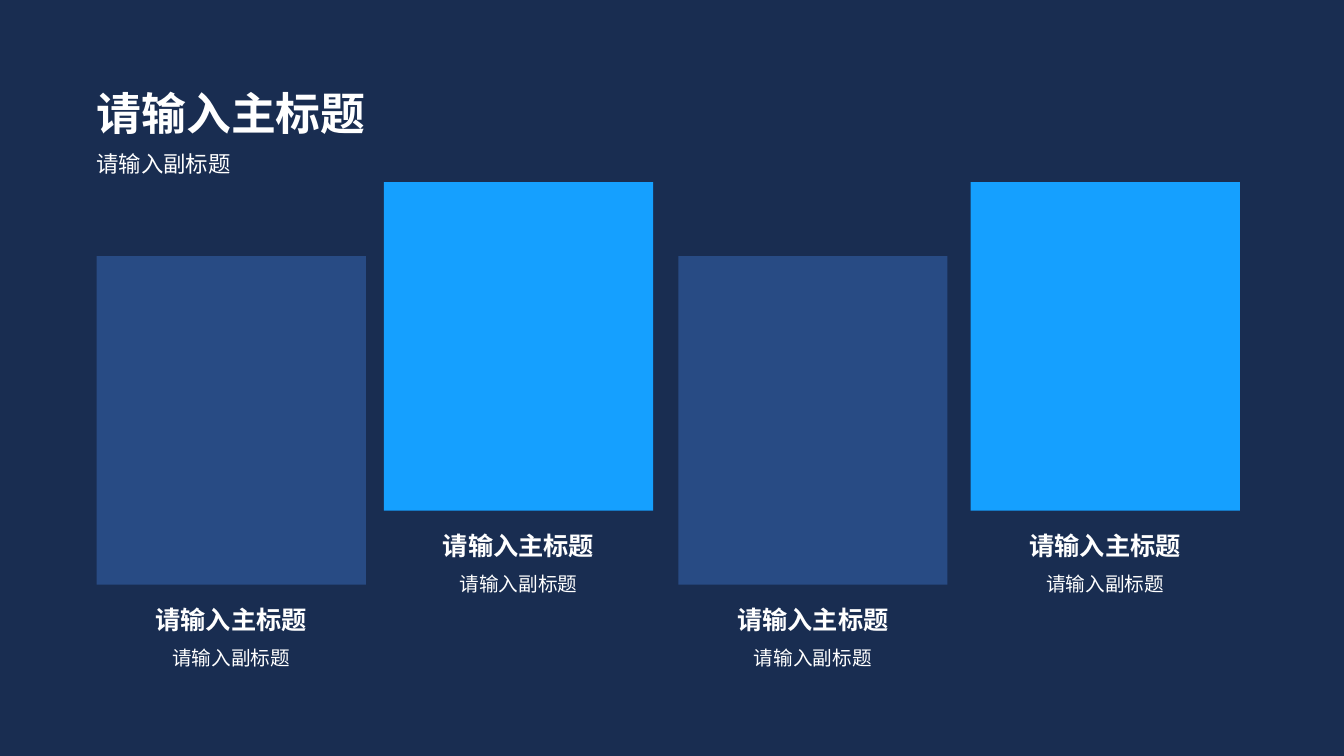
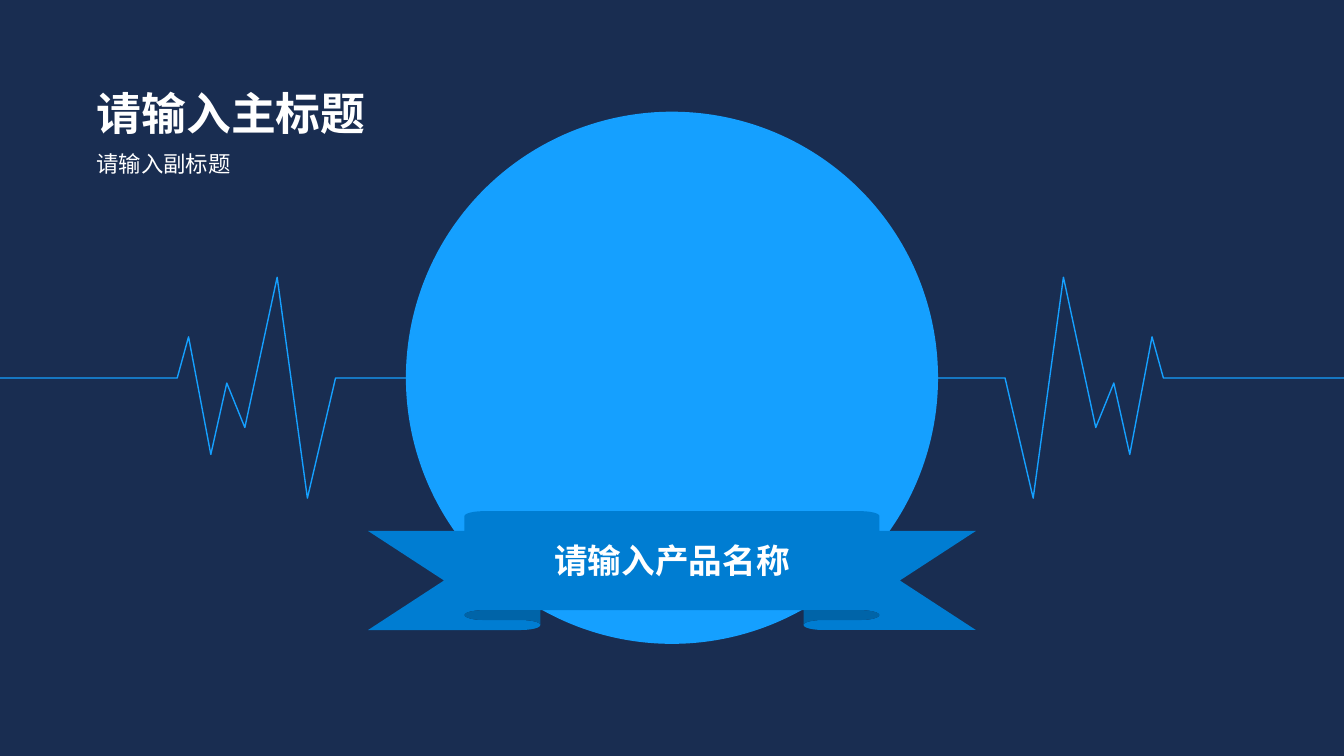
from dataclasses import dataclass
from typing import NamedTuple

from pptx import Presentation
from pptx.dml.color import RGBColor
from pptx.enum.shapes import MSO_SHAPE as Preset
from pptx.enum.text import MSO_ANCHOR as Anchor, MSO_AUTO_SIZE as AutoSize, PP_ALIGN as Align
from pptx.shapes.autoshape import Shape
from pptx.slide import Slide
from pptx.util import Emu, Inches, Pt

SLIDE_W, SLIDE_H = Inches(13.33), Inches(7.5)
COLUMNS, ROWS = 32, 18
MAIN_TITLE, SUBTITLE = "请输入主标题", "请输入副标题"


@dataclass(frozen=True)
class Theme:
    font: str = "Arial"
    background: RGBColor = RGBColor(0x19, 0x2D, 0x51)
    muted: RGBColor = RGBColor(0x28, 0x4B, 0x84)
    bright: RGBColor = RGBColor(0x15, 0xA0, 0xFF)
    ribbon: RGBColor = RGBColor(0x00, 0x7D, 0xD2)
    text: RGBColor = RGBColor(0xFF, 0xFF, 0xFF)
    title_size: int = 32
    subtitle_size: int = 16
    product_size: int = 24
    heading_size: int = 18
    caption_size: int = 14
    line_width: int = 1


THEME = Theme()


class Area(NamedTuple):
    """A place on the slide, in grid columns and rows."""
    left: float
    top: float
    width: float
    height: float


class Card(NamedTuple):
    left: float
    top: float
    color: RGBColor


TITLE_AREA = Area(2.06, 1.92, 6.94, 1.54)
SUBTITLE_AREA = Area(2.06, 3.46, 3.72, 0.89)

CARD_W, CARD_H = 6.41, 7.82
LOW, HIGH = 6.1, 4.34
CARDS = (
    Card(2.3, LOW, THEME.muted),
    Card(9.14, HIGH, THEME.bright),
    Card(16.15, LOW, THEME.muted),
    Card(23.11, HIGH, THEME.bright),
)

PULSE = (
    (-0.1, 9), (4.22, 9), (4.49, 8.02), (5.02, 10.82), (5.4, 9.12),
    (5.83, 10.18), (6.6, 6.6), (7.32, 11.86), (7.99, 9), (9.67, 9),
)
PULSE_MIRROR = 31.92


def col(count: float) -> Emu:
    return Emu(round(SLIDE_W * count / COLUMNS))


def row(count: float) -> Emu:
    return Emu(round(SLIDE_H * count / ROWS))


def place(area: Area) -> tuple[Emu, Emu, Emu, Emu]:
    return col(area.left), row(area.top), col(area.width), row(area.height)


def centered(middle: float, top: float, width: float, height: float) -> Area:
    return Area(middle - width / 2, top, width, height)


def write(shape: Shape, text: str, *, size: int, bold: bool = False,
          align: Align = Align.LEFT) -> None:
    frame = shape.text_frame
    frame.text = text
    frame.word_wrap = False
    frame.auto_size = AutoSize.SHAPE_TO_FIT_TEXT
    frame.vertical_anchor = Anchor.TOP
    paragraph = frame.paragraphs[0]
    paragraph.alignment = align
    font = paragraph.runs[0].font
    font.name, font.size, font.bold = THEME.font, Pt(size), bold
    font.color.rgb = THEME.text


def add_label(slide: Slide, area: Area, text: str, *, size: int, bold: bool = False,
              align: Align = Align.CENTER) -> None:
    write(slide.shapes.add_textbox(*place(area)), text, size=size, bold=bold, align=align)


def add_block(slide: Slide, preset: Preset, area: Area, color: RGBColor) -> Shape:
    block = slide.shapes.add_shape(preset, *place(area))
    block.shadow.inherit = False
    block.fill.solid()
    block.fill.fore_color.rgb = color
    block.line.fill.background()
    return block


def add_titled_slide(prs: Presentation) -> Slide:
    slide = prs.slides.add_slide(prs.slide_layouts.get_by_name("Title Only"))
    title = slide.shapes.title
    title.left, title.top, title.width, title.height = place(TITLE_AREA)
    write(title, MAIN_TITLE, size=THEME.title_size, bold=True)
    add_label(slide, SUBTITLE_AREA, SUBTITLE, size=THEME.subtitle_size, align=Align.LEFT)
    return slide


def add_card(slide: Slide, card: Card) -> None:
    add_block(slide, Preset.RECTANGLE, Area(card.left, card.top, CARD_W, CARD_H), card.color)
    middle, bottom = card.left + CARD_W / 2, card.top + CARD_H
    add_label(slide, centered(middle, bottom + 0.34, 4.13, 0.96), MAIN_TITLE,
              size=THEME.heading_size, bold=True)
    add_label(slide, centered(middle, bottom + 1.34, 3.31, 0.82), SUBTITLE,
              size=THEME.caption_size)


def add_pulse(slide: Slide, mirrored: bool) -> None:
    points = [(col(PULSE_MIRROR - x if mirrored else x), row(y)) for x, y in PULSE]
    builder = slide.shapes.build_freeform(*points[0])
    builder.add_line_segments(points[1:], close=False)
    pulse = builder.convert_to_shape()
    pulse.shadow.inherit = False
    pulse.fill.background()
    pulse.line.color.rgb = THEME.bright
    pulse.line.width = Pt(THEME.line_width)


def build_cards_slide(prs: Presentation) -> None:
    slide = add_titled_slide(prs)
    for card in CARDS:
        add_card(slide, card)


def build_product_slide(prs: Presentation) -> None:
    slide = add_titled_slide(prs)
    middle = COLUMNS / 2
    add_block(slide, Preset.OVAL, centered(middle, 2.66, 12.67, 12.67), THEME.bright)
    for mirrored in (False, True):
        add_pulse(slide, mirrored)
    ribbon = add_block(slide, Preset.UP_RIBBON, centered(middle, 12.17, 14.47, 2.83),
                       THEME.ribbon)
    ribbon.adjustments[0], ribbon.adjustments[1] = 0.167, 0.683
    add_label(slide, centered(middle, 12.74, 6.14, 1.2), "请输入产品名称",
              size=THEME.product_size, bold=True)


def main() -> None:
    prs = Presentation()
    prs.slide_width, prs.slide_height = SLIDE_W, SLIDE_H
    backdrop = prs.slide_master.background.fill
    backdrop.solid()
    backdrop.fore_color.rgb = THEME.background
    build_cards_slide(prs)
    build_product_slide(prs)
    prs.save("out.pptx")


if __name__ == "__main__":
    main()
